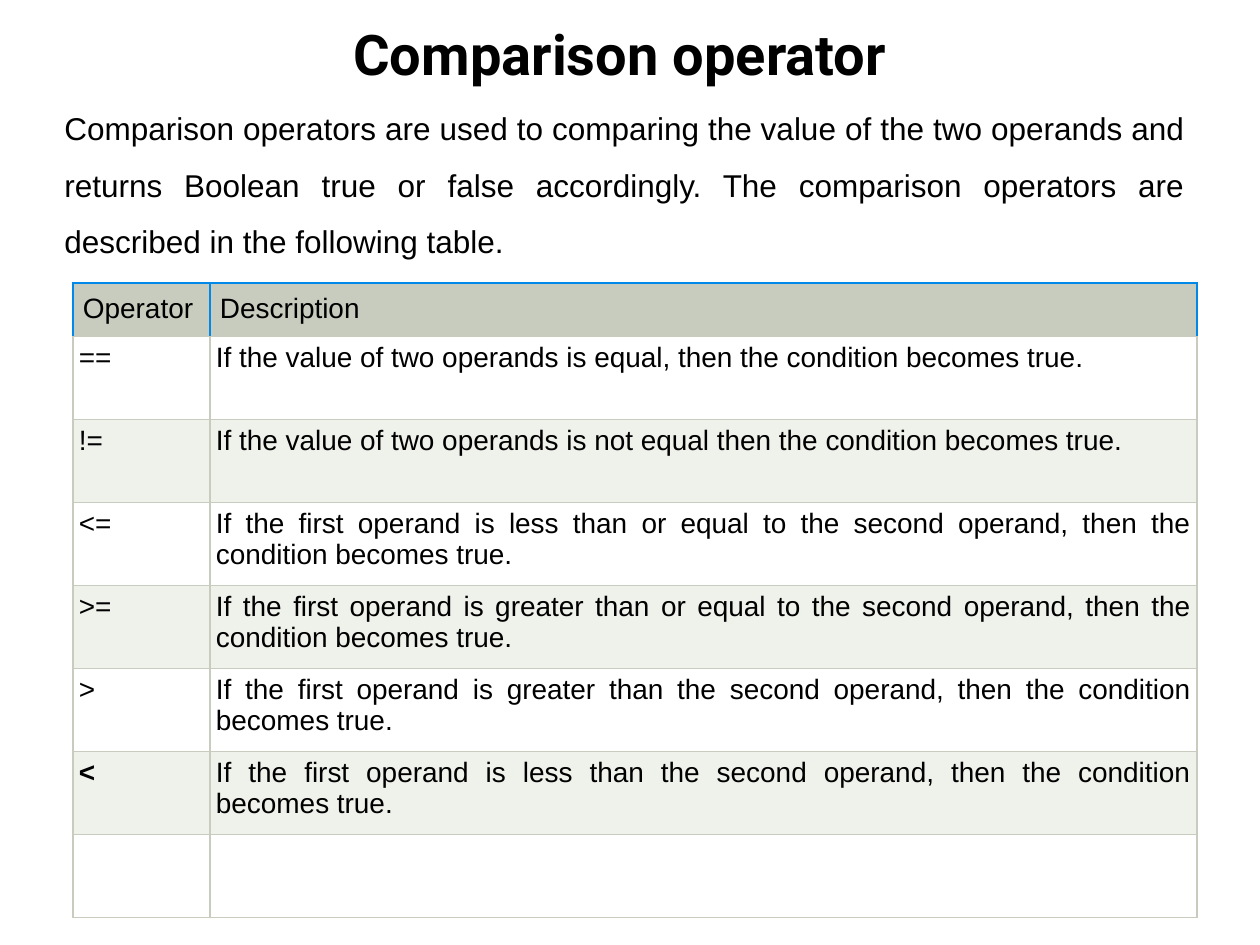
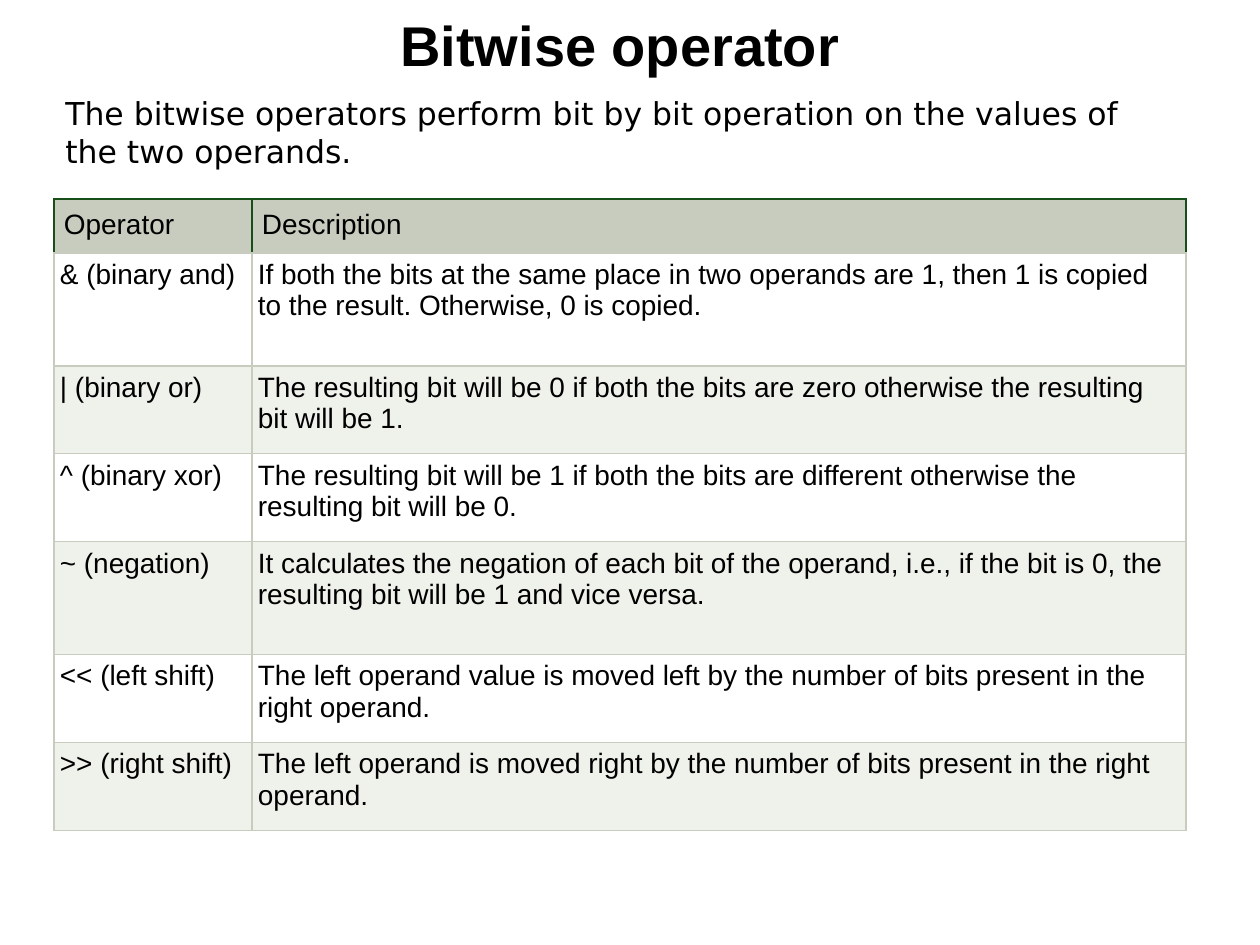
from lxml.etree import SubElement
from pptx import Presentation
from pptx.dml.color import RGBColor
from pptx.enum.text import MSO_ANCHOR, MSO_AUTO_SIZE, PP_ALIGN
from pptx.oxml.ns import qn
from pptx.util import Pt

SCALE = 914400 / 126
INK, SAGE, WHITE, PALE = "000000", "C7CCBE", "FFFFFF", "EFF1EB"
BLUE, GREEN = "0089E9", "184E17"
SANS = "Arial"

COMPARE = [
    ("Operator", "Description"),
    ("==", "If the value of two operands is equal, then the condition becomes true."),
    ("!=", "If the value of two operands is not equal then the condition becomes true."),
    ("<=", "If the first operand is less than or equal to the second operand, "
           "then the condition becomes true."),
    (">=", "If the first operand is greater than or equal to the second operand, "
           "then the condition becomes true."),
    (">", "If the first operand is greater than the second operand, "
          "then the condition becomes true."),
    ("<", "If the first operand is less than the second operand, "
          "then the condition becomes true."),
    ("", ""),
]
BITWISE = [
    ("Operator", "Description"),
    ("& (binary and)", "If both the bits at the same place in two operands are 1, "
                       "then 1 is copied to the result. Otherwise, 0 is copied."),
    ("| (binary or)", "The resulting bit will be 0 if both the bits are zero "
                      "otherwise the resulting bit will be 1."),
    ("^ (binary xor)", "The resulting bit will be 1 if both the bits are different "
                       "otherwise the resulting bit will be 0."),
    ("~ (negation)", "It calculates the negation of each bit of the operand, i.e., "
                     "if the bit is 0, the resulting bit will be 1 and vice versa."),
    ("<< (left shift)", "The left operand value is moved left by the number of bits "
                        "present in the right operand."),
    (">> (right shift)", "The left operand is moved right by the number of bits "
                         "present in the right operand."),
]


def px(count):
    """Turn pixels into EMU."""
    return round(count * SCALE)


def color(code):
    """Turn a hex string into a colour."""
    return RGBColor.from_string(code)


def style(frame, size, font, align, bold=False):
    """Format every run of a text frame."""
    for para in frame.paragraphs:
        para.alignment = align
        for run in para.runs:
            run.font.size = Pt(size)
            run.font.name = font
            run.font.bold = bold
            run.font.color.rgb = color(INK)


def add_title(slide, box, text, font):
    """Place and format the title placeholder."""
    title = slide.shapes.title
    title.left, title.top, title.width, title.height = map(px, box)
    frame = title.text_frame
    frame.text = text
    frame.auto_size = MSO_AUTO_SIZE.NONE
    frame.vertical_anchor = MSO_ANCHOR.MIDDLE
    style(frame, 32, font, PP_ALIGN.CENTER, True)


def add_intro(slide, box, text, font, align, spacing):
    """Add the paragraph that introduces the table."""
    frame = slide.shapes.add_textbox(*map(px, box)).text_frame
    frame.word_wrap = True
    frame.auto_size = MSO_AUTO_SIZE.SHAPE_TO_FIT_TEXT
    frame.text = text
    frame.paragraphs[0].line_spacing = spacing
    style(frame, 18, font, align)


def set_edges(cell, edge):
    """Draw the four borders of a cell, with a sage one below."""
    props = cell._tc.get_or_add_tcPr()
    for side, code in zip("LRTB", (edge, edge, edge, SAGE)):
        line = SubElement(props, qn(f"a:ln{side}"), w=str(Pt(0.75)))
        fill = SubElement(line, qn("a:solidFill"))
        SubElement(fill, qn("a:srgbClr"), val=code)


def fill_cell(cell, text, row, align, edge):
    """Fill and format one table cell."""
    head = row == 0
    inset = px(10 if head else 6)
    cell.margin_left = cell.margin_right = inset
    cell.margin_top = cell.margin_bottom = inset
    set_edges(cell, edge if head else SAGE)
    cell.fill.solid()
    cell.fill.fore_color.rgb = color(SAGE if head else (PALE, WHITE)[row % 2])
    cell.text_frame.text = text
    style(cell.text_frame, 16, SANS, align, text == "<")


def add_grid(slide, spot, widths, heights, rows, align, edge):
    """Add the operator table at the given spot."""
    box = (*spot, sum(widths), sum(heights))
    table = slide.shapes.add_table(len(rows), len(widths), *map(px, box)).table
    for column, width in zip(table.columns, widths):
        column.width = px(width)
    for index, (height, texts) in enumerate(zip(heights, rows)):
        table.rows[index].height = px(height)
        for place, text in enumerate(texts):
            fill_cell(table.cell(index, place), text, index, align, edge)


def add_compare(slide):
    """Build the comparison operator slide."""
    add_title(slide, (53, 1, 1134, 105), "Comparison operator", "Roboto")
    add_intro(slide, (52, 84, 1145, 178),
              "Comparison operators are used to comparing the value of the two "
              "operands and returns Boolean true or false accordingly. The comparison "
              "operators are described in the following table.",
              SANS, PP_ALIGN.JUSTIFY, 1.5)
    add_grid(slide, (73, 283), (137, 987), [53] + [83] * 7, COMPARE,
             PP_ALIGN.JUSTIFY, BLUE)


def add_bitwise(slide):
    """Build the bitwise operator slide."""
    add_title(slide, (53, 0, 1134, 88), "Bitwise operator", SANS)
    add_intro(slide, (53, 88, 1134, 89),
              "The bitwise operators perform bit by bit operation on the values of "
              "the two operands.", "DejaVu Sans", PP_ALIGN.LEFT, 1.0)
    add_grid(slide, (54, 199), (198, 934), [54] + [113, 88, 88] * 2, BITWISE,
             PP_ALIGN.LEFT, GREEN)


def main():
    """Build and save the deck."""
    deck = Presentation()
    deck.slide_width, deck.slide_height = px(1260), px(945)
    for build in (add_compare, add_bitwise):
        build(deck.slides.add_slide(deck.slide_layouts[5]))
    deck.save("out.pptx")


if __name__ == "__main__":
    main()
